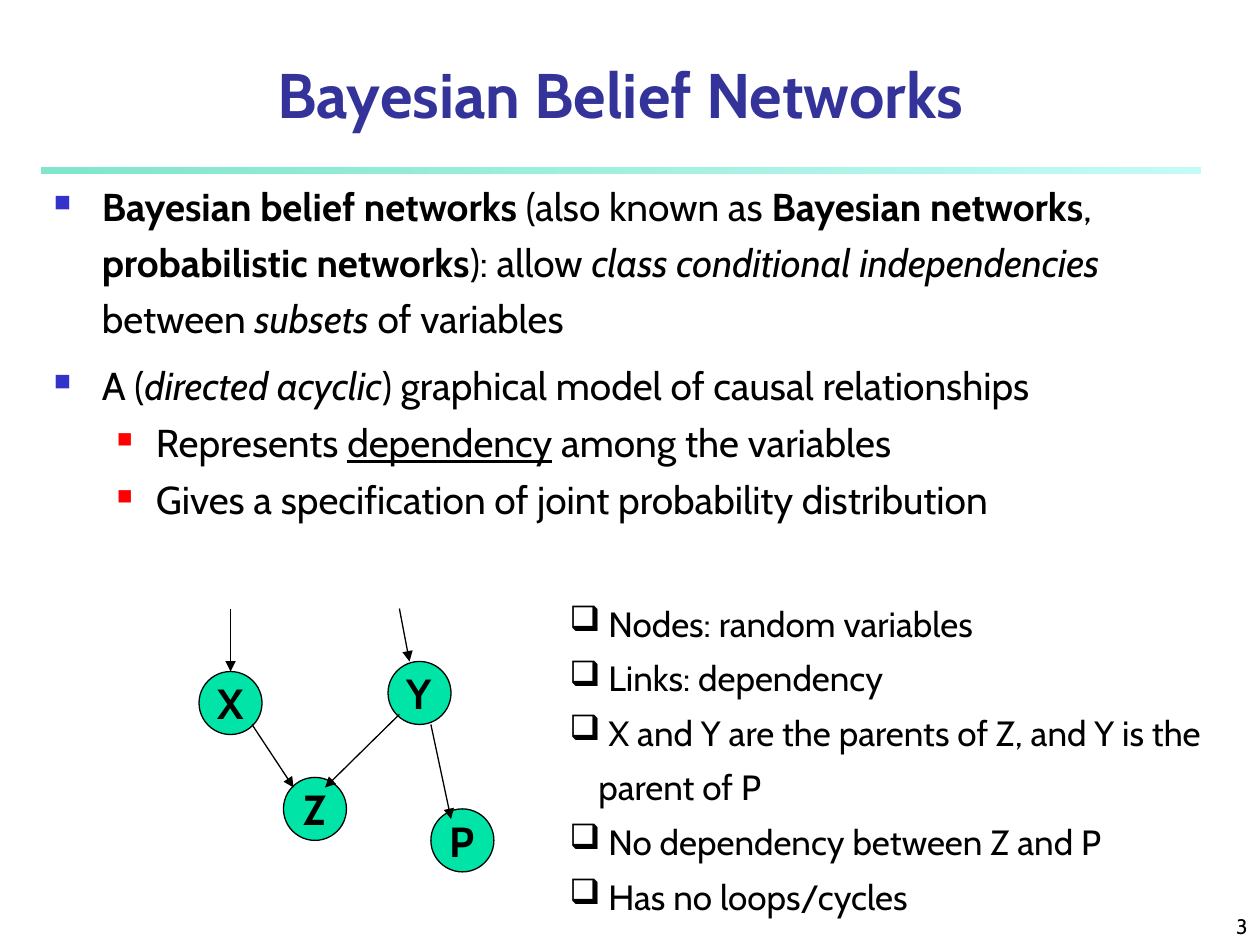
from lxml import etree
from pptx import Presentation
from pptx.dml.color import RGBColor
from pptx.enum.shapes import MSO_CONNECTOR, MSO_SHAPE
from pptx.enum.text import MSO_ANCHOR, PP_ALIGN
from pptx.oxml.ns import qn
from pptx.util import Inches, Pt

STRAIGHT = MSO_CONNECTOR.STRAIGHT
RECTANGLE = MSO_SHAPE.RECTANGLE
NODE = MSO_SHAPE.FLOWCHART_CONNECTOR
CENTER, RIGHT = PP_ALIGN.CENTER, PP_ALIGN.RIGHT
MIDDLE, BOTTOM = MSO_ANCHOR.MIDDLE, MSO_ANCHOR.BOTTOM

FONT = "Cabin"
BLACK = "000000"
NODE_SIZE = 0.5

# Body paragraphs: level, then runs as (text, style), b bold, i italic, u underlined
BODY = [
    (0, [("Bayesian belief networks", "b"), (" (also known as ", ""),
         ("Bayesian networks", "b"), (", ", ""),
         ("probabilistic networks", "b"), ("): allow ", ""),
         ("class conditional independencies", "i"), (" between ", ""),
         ("subsets", "i"), (" of variables", "")]),
    (0, [("A (", ""), ("directed acyclic", "i"),
         (") graphical model of causal relationships", "")]),
    (1, [("Represents ", ""), ("dependency", "u"),
         (" among the variables", "")]),
    (1, [("Gives a specification of joint probability distribution", "")]),
]
# Per level: left margin, hanging indent, bullet colour, bullet size, line spacing
BODY_LEVELS = [(0.38, 0.38, "3333CC", 60, 1.2), (0.81, 0.31, "FF0000", 55, 1.0)]

NODES = {"X": (1.58, 5.33), "Y": (3.08, 5.25), "Z": (2.25, 6.17), "P": (3.42, 6.42)}
ARROWS = [
    (2, 5.75, 2.33, 6.25),       # X to Z
    (3.17, 5.67, 2.58, 6.25),    # Y to Z
    (3.42, 5.75, 3.58, 6.5),     # Y to P
    (1.83, 4.83, 1.83, 5.33),    # into X
    (3.17, 4.83, 3.25, 5.25),    # into Y
]
NOTES = [
    " Nodes: random variables",
    " Links: dependency",
    " X and Y are the parents of Z, and Y is the parent of P",
    " No dependency between Z and P",
    " Has no loops/cycles",
]


def color(value):
    return RGBColor.from_string(value)


def format_font(font, size, value=BLACK, bold=False):
    font.name = FONT
    font.size = Pt(size)
    font.bold = bold
    font.color.rgb = color(value)


def add_bullet(paragraph, character, value, size, margin, hanging):
    properties = paragraph._p.get_or_add_pPr()
    properties.set("marL", str(Inches(margin)))
    properties.set("indent", str(-Inches(hanging)))
    bullet_color = etree.SubElement(properties, qn("a:buClr"))
    etree.SubElement(bullet_color, qn("a:srgbClr"), val=value)
    etree.SubElement(bullet_color.getparent(), qn("a:buSzPct"), val=str(size * 1000))
    etree.SubElement(properties, qn("a:buChar"), char=character)


def add_text_box(slide, left, top, width, height):
    box = slide.shapes.add_textbox(
        Inches(left), Inches(top), Inches(width), Inches(height))
    box.text_frame.word_wrap = True
    return box.text_frame


def next_paragraph(text_frame, index):
    return text_frame.add_paragraph() if index else text_frame.paragraphs[0]


def set_title(slide, text):
    title = slide.shapes.title
    title.left, title.top = Inches(0.33), Inches(0.42)
    title.width, title.height = Inches(9.19), Inches(0.67)
    text_frame = title.text_frame
    text_frame.text = text
    text_frame.vertical_anchor = BOTTOM
    paragraph = text_frame.paragraphs[0]
    paragraph.alignment = CENTER
    format_font(paragraph.runs[0].font, 36, "333399", True)


def add_title_rule(slide):
    rule = slide.shapes.add_shape(
        RECTANGLE, Inches(0.33), Inches(1.33), Inches(9.2), Inches(0.05))
    rule.shadow.inherit = False
    rule.line.fill.background()
    rule.fill.gradient()
    rule.fill.gradient_angle = 0
    stops = [("00CE98", 50), ("8FF9EF", 52)]
    for stop, (value, opacity) in zip(rule.fill.gradient_stops, stops):
        stop.color.rgb = color(value)
    for element, (value, opacity) in zip(
            rule._element.spPr.iter(qn("a:srgbClr")), stops):
        etree.SubElement(element, qn("a:alpha"), val=str(opacity * 1000))


def add_body(slide):
    text_frame = add_text_box(slide, 0.33, 1.33, 9.33, 3.29)
    for index, (level, runs) in enumerate(BODY):
        margin, hanging, value, size, spacing = BODY_LEVELS[level]
        paragraph = next_paragraph(text_frame, index)
        paragraph.level = level
        paragraph.line_spacing = spacing
        paragraph.space_before = Pt(6 if index else 0)
        add_bullet(paragraph, "■", value, size, margin, hanging)
        for text, style in runs:
            run = paragraph.add_run()
            run.text = text
            format_font(run.font, 22.2, bold="b" in style)
            run.font.italic = "i" in style
            run.font.underline = "u" in style


def add_node(slide, label, left, top):
    node = slide.shapes.add_shape(
        NODE, Inches(left), Inches(top), Inches(NODE_SIZE), Inches(NODE_SIZE))
    node.shadow.inherit = False
    node.fill.solid()
    node.fill.fore_color.rgb = color("00E4A8")
    node.line.color.rgb = color(BLACK)
    node.line.width = Pt(0.75)
    text_frame = node.text_frame
    text_frame.text = label
    text_frame.word_wrap = False
    text_frame.vertical_anchor = MIDDLE
    paragraph = text_frame.paragraphs[0]
    paragraph.alignment = CENTER
    format_font(paragraph.runs[0].font, 24, bold=True)


def add_arrow(slide, *ends):
    arrow = slide.shapes.add_connector(STRAIGHT, *map(Inches, ends))
    arrow.line.color.rgb = color(BLACK)
    arrow.line.width = Pt(0.75)
    etree.SubElement(arrow.line._get_or_add_ln(), qn("a:tailEnd"), type="triangle")
    etree.SubElement(arrow._element.spPr, qn("a:effectLst"))


def add_notes_list(slide):
    text_frame = add_text_box(slide, 4.42, 4.63, 5.4, 2.7)
    for index, text in enumerate(NOTES):
        paragraph = next_paragraph(text_frame, index)
        paragraph.text = text
        paragraph.line_spacing = 1.3
        add_bullet(paragraph, "❑", BLACK, 100, 0.23, 0.23)
        format_font(paragraph.runs[0].font, 20)


def add_slide_number(slide, number):
    text_frame = add_text_box(slide, 7.92, 7.08, 2.08, 0.42)
    text_frame.text = number
    text_frame.vertical_anchor = BOTTOM
    paragraph = text_frame.paragraphs[0]
    paragraph.alignment = RIGHT
    format_font(paragraph.runs[0].font, 12)


def main():
    presentation = Presentation()
    presentation.slide_width, presentation.slide_height = Inches(10), Inches(7.5)
    slide = presentation.slides.add_slide(presentation.slide_layouts[5])

    # Heading and main text
    add_title_rule(slide)
    add_slide_number(slide, "3")
    set_title(slide, "Bayesian Belief Networks")
    add_body(slide)

    # Network diagram and its explanation
    for label, (left, top) in NODES.items():
        add_node(slide, label, left, top)
    for ends in ARROWS:
        add_arrow(slide, *ends)
    add_notes_list(slide)

    presentation.save("out.pptx")


if __name__ == "__main__":
    main()
